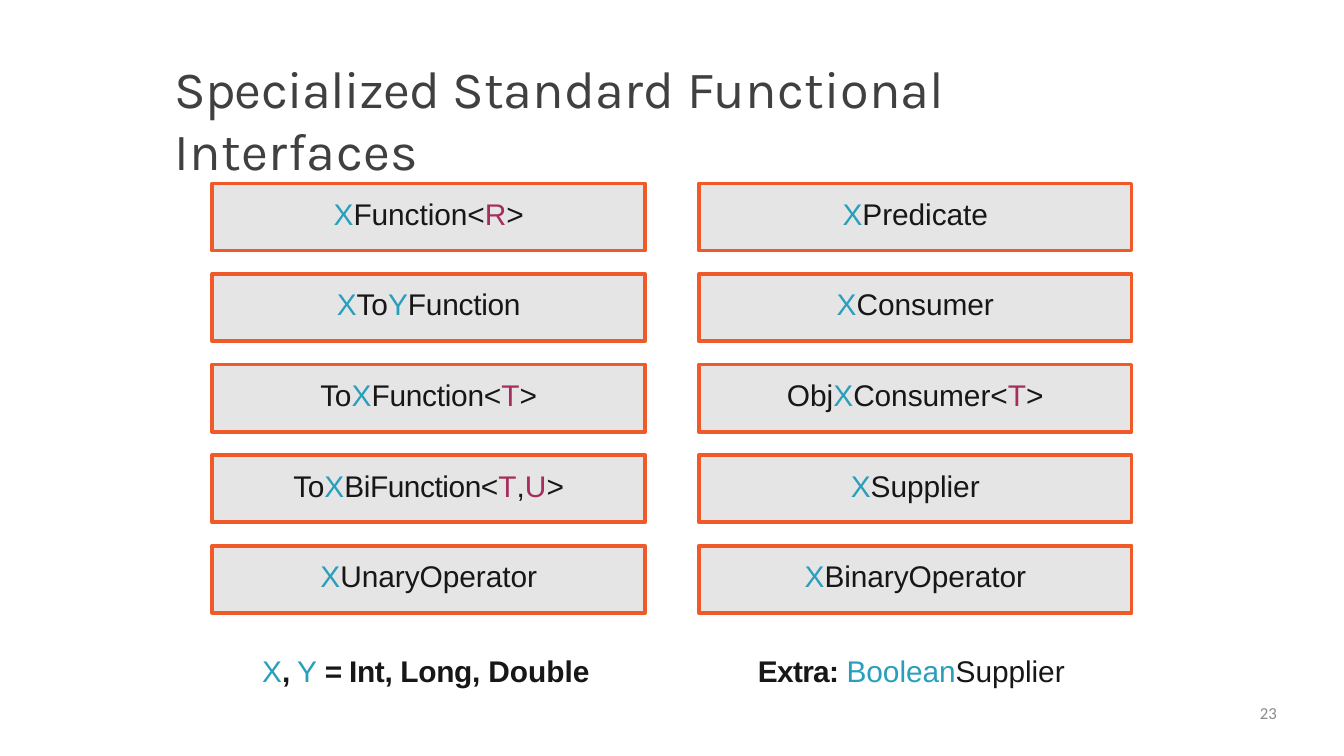
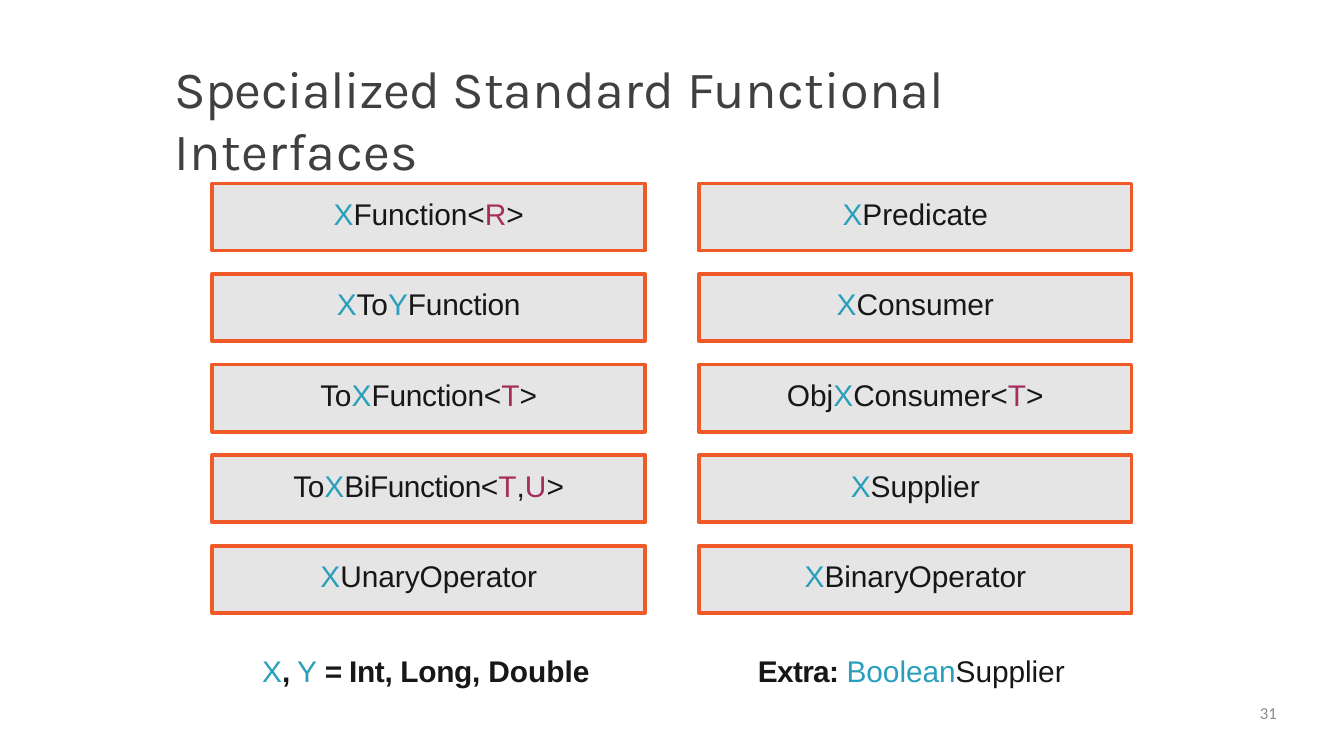
from dataclasses import dataclass
from typing import Any

import pptx
import pptx.dml.color
import pptx.enum.shapes
import pptx.enum.text
import pptx.util

SLIDE_WIDTH = pptx.util.Inches(20)
SLIDE_HEIGHT = pptx.util.Inches(11.25)
GRID_COLUMNS = 200
GRID_ROWS = 112.5

INK, TEAL, PLUM = "171717", "2A9FBC", "A62E5C"
TITLE_GRAY, NUMBER_GRAY = "404040", "8C8C8C"
PANEL_GRAY, ORANGE = "E5E5E5", "F05A28"
TOKEN_COLORS = {"X": TEAL, "Y": TEAL, "R": PLUM, "T": PLUM, "U": PLUM}

LEFT = pptx.enum.text.PP_ALIGN.LEFT
CENTER = pptx.enum.text.PP_ALIGN.CENTER
RIGHT = pptx.enum.text.PP_ALIGN.RIGHT


@dataclass(frozen=True)
class Area:
    column: float
    row: float
    columns: float
    rows: float

    def box(self) -> tuple[int, int, int, int]:
        across = SLIDE_WIDTH / GRID_COLUMNS
        down = SLIDE_HEIGHT / GRID_ROWS
        return (round(self.column * across), round(self.row * down),
                round(self.columns * across), round(self.rows * down))


@dataclass(frozen=True)
class Span:
    text: str
    color: str = INK
    spacing: float = 0
    bold: bool = False


@dataclass(frozen=True)
class TextStyle:
    font: str
    size: float
    align: Any = LEFT
    inset: float = 0.01
    before: float = 1


@dataclass(frozen=True)
class Caption:
    area: Area
    spans: tuple[Span, ...]
    style: TextStyle


@dataclass(frozen=True)
class Interface:
    signature: str
    spacing: float = -0.1


TITLE_STYLE = TextStyle("Karla", 56)
INTERFACE_STYLE = TextStyle("Arial", 32, CENTER, 0.18, 12.7)
NOTE_STYLE = TextStyle("Arial", 32)
NUMBER_STYLE = TextStyle("Calibri", 18, RIGHT, 0, 0)
NUMBER_AREA = Area(144, 104.6, 46, 5.6)

FIRST_INTERFACE = Area(31.6, 27.3, 64.4, 10)
COLUMN_STEP = 72.4
ROW_STEP = 13.48

INTERFACE_COLUMNS = (
    (
        Interface("X|Function<|R|>"),
        Interface("X|To|Y|Function", -0.3),
        Interface("To|X|Function<|T|>", -0.3),
        Interface("To|X|BiFunction<|T|,|U|>", -0.5),
        Interface("X|UnaryOperator"),
    ),
    (
        Interface("X|Predicate"),
        Interface("X|Consumer"),
        Interface("Obj|X|Consumer<|T|>"),
        Interface("X|Supplier"),
        Interface("X|BinaryOperator"),
    ),
)

CAPTIONS = (
    Caption(Area(25.9, 8.2, 148.2, 9.6), (
        Span("Specialized ", TITLE_GRAY, -0.7),
        Span("Standard ", TITLE_GRAY, 0.1),
        Span("Functional ", TITLE_GRAY, 0.3),
        Span("Interfaces", TITLE_GRAY, 0.6),
    ), TITLE_STYLE),
    Caption(Area(39, 97, 48.9, 5.6), (
        Span("X", TEAL),
        Span(", ", INK, -1.5, True),
        Span("Y ", TEAL),
        Span("= ", INK, -1.7, True),
        Span("Int, Long, ", INK, -0.4, True),
        Span("Double", INK, 0, True),
    ), NOTE_STYLE),
    Caption(Area(112.8, 97, 46, 5.6), (
        Span("Extra: ", INK, -0.8, True),
        Span("Boolean", TEAL, -0.1),
        Span("Supplier", INK, -0.1),
    ), NOTE_STYLE),
)


def rgb(value: str) -> pptx.dml.color.RGBColor:
    return pptx.dml.color.RGBColor.from_string(value)


def apply(target: Any, values: dict[str, Any]) -> None:
    for name, value in values.items():
        setattr(target, name, value)


def write(shape: Any, spans: tuple[Span, ...], style: TextStyle) -> None:
    frame = shape.text_frame
    apply(frame, {
        "margin_left": 0,
        "margin_right": 0,
        "margin_bottom": 0,
        "margin_top": pptx.util.Inches(style.inset),
        "word_wrap": True,
        "vertical_anchor": pptx.enum.text.MSO_ANCHOR.TOP,
        "auto_size": pptx.enum.text.MSO_AUTO_SIZE.SHAPE_TO_FIT_TEXT,
    })
    paragraph = frame.paragraphs[0]
    apply(paragraph, {
        "alignment": style.align,
        "space_before": pptx.util.Pt(style.before),
    })
    for span in spans:
        run = paragraph.add_run()
        run.text = span.text
        apply(run.font, {
            "name": style.font,
            "size": pptx.util.Pt(style.size),
            "bold": span.bold,
        })
        run.font.color.rgb = rgb(span.color)
        if span.spacing:
            run._r.get_or_add_rPr().set("spc", str(round(span.spacing * 100)))


def draw_caption(slide: Any, caption: Caption) -> None:
    write(slide.shapes.add_textbox(*caption.area.box()), caption.spans, caption.style)


def draw_interface(slide: Any, interface: Interface, column: int, row: int) -> None:
    area = Area(FIRST_INTERFACE.column + column * COLUMN_STEP,
                FIRST_INTERFACE.row + row * ROW_STEP,
                FIRST_INTERFACE.columns, FIRST_INTERFACE.rows)
    panel = slide.shapes.add_shape(pptx.enum.shapes.MSO_SHAPE.RECTANGLE, *area.box())
    panel.shadow.inherit = False
    panel.fill.solid()
    panel.fill.fore_color.rgb = rgb(PANEL_GRAY)
    panel.line.color.rgb = rgb(ORANGE)
    panel.line.width = pptx.util.Pt(4)
    spans = tuple(Span(token, TOKEN_COLORS.get(token, INK), interface.spacing)
                  for token in interface.signature.split("|"))
    write(panel, spans, INTERFACE_STYLE)


def add_interfaces_slide(deck: Any, number: int) -> None:
    slide = deck.slides.add_slide(deck.slide_layouts[6])
    for column, interfaces in enumerate(INTERFACE_COLUMNS):
        for row, interface in enumerate(interfaces):
            draw_interface(slide, interface, column, row)
    page_number = Caption(NUMBER_AREA, (Span(str(number), NUMBER_GRAY),), NUMBER_STYLE)
    for caption in (*CAPTIONS, page_number):
        draw_caption(slide, caption)


def main() -> None:
    deck = pptx.Presentation()
    apply(deck, {"slide_width": SLIDE_WIDTH, "slide_height": SLIDE_HEIGHT})
    for number in (23, 31):
        add_interfaces_slide(deck, number)
    deck.save("out.pptx")


if __name__ == "__main__":
    main()
